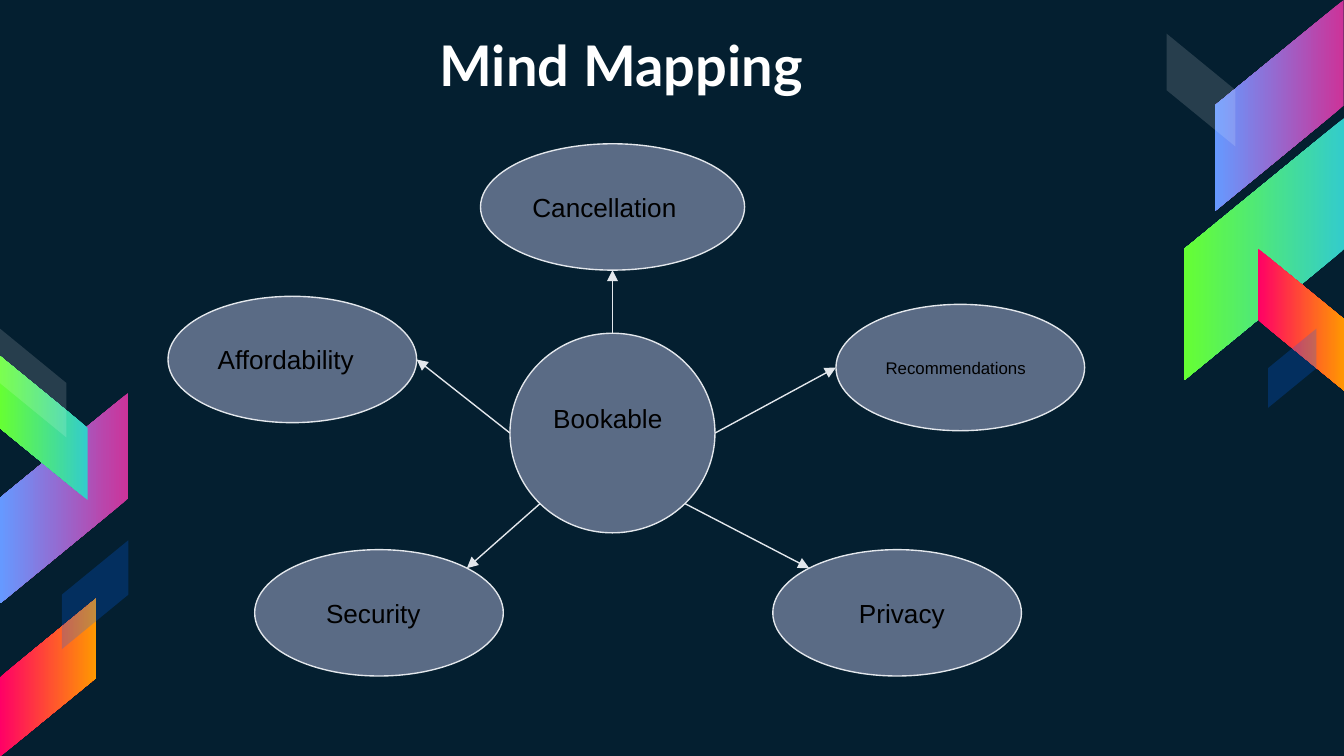
from math import cos, radians, sin

from lxml import etree
from pptx import Presentation
from pptx.dml.color import RGBColor
from pptx.enum.shapes import MSO_CONNECTOR, MSO_SHAPE
from pptx.enum.text import MSO_ANCHOR, PP_ALIGN
from pptx.oxml.ns import qn
from pptx.util import Inches, Pt

PARALLELOGRAM, ELLIPSE = MSO_SHAPE.PARALLELOGRAM, MSO_SHAPE.OVAL
STRAIGHT = MSO_CONNECTOR.STRAIGHT
LEFT = PP_ALIGN.LEFT
MIDDLE, BOTTOM = MSO_ANCHOR.MIDDLE, MSO_ANCHOR.BOTTOM

NAVY = RGBColor(0x04, 0x1F, 0x30)
SLATE = RGBColor(0x5A, 0x6B, 0x85)
PALE = RGBColor(0xE3, 0xE7, 0xEC)
BLACK = RGBColor(0x00, 0x00, 0x00)
WHITE = RGBColor(0xFF, 0xFF, 0xFF)
BLUE = RGBColor(0x00, 0x66, 0xFF)
VIOLET = (RGBColor(0xCC, 0x33, 0x99), RGBColor(0x66, 0x99, 0xFF))
GREEN = (RGBColor(0x33, 0xCC, 0xCC), RGBColor(0x66, 0xFF, 0x33))
FIRE = (RGBColor(0xFF, 0x00, 0x66), RGBColor(0xFF, 0x99, 0x00))

# The slide is a grid of 100 columns by 56.25 rows of square cells.
COLUMNS, ROWS = 100, 56.25
CELL = Inches(10) / COLUMNS
RIBBON_RATIO = 0.61  # width of a ribbon as a share of its height
RIBBON_SLANT = 0.819

# left, top, height, rotation, flipped, colours, opacity in percent
RIBBONS = [
    (90.4, 0, 15.7, 90, True, VIOLET, 100),
    (88.1, 8.8, 19.5, 90, True, GREEN, 100),
    (93.6, 18.5, 10.6, 270, False, FIRE, 100),
    (86.8, 2.5, 8.4, 270, False, WHITE, 14),
    (94.35, 24.45, 5.9, 270, True, BLUE, 23),
    (0, 29.2, 15.7, 90, True, VIOLET, 100),
    (0, 26.5, 10.7, 90, False, GREEN, 100),
    (0, 44.5, 11.8, 270, True, FIRE, 100),
    (0, 24.45, 8.1, 270, False, WHITE, 14),
    (4.6, 40.2, 8.1, 270, True, BLUE, 23),
]

HUB = (37.95, 24.8, 15.25, 14.85)
# text, box, text size, indent, clockwise angles where the arrow leaves and arrives
TOPICS = [
    ("Privacy", (57.5, 40.9, 18.5, 9.4), 14, 2.7, 45, 225),
    ("Affordability", (12.5, 22.05, 18.5, 9.4), 14, 0, 180, 0),
    ("Cancellation", (35.75, 10.7, 19.65, 9.4), 14, 0, 270, 90),
    ("Security", (18.95, 40.9, 18.5, 9.4), 14, 1.6, 135, 315),
    ("Recommendations", (62.2, 22.65, 18.5, 9.4), 9, 0, 0, 180),
]


def cells(*counts):
    return [round(count * CELL) for count in counts]


def write_text(shape, text, *, size, font="Arial", color=BLACK, bold=False,
               anchor=MIDDLE, indent=0, below=0):
    """Fill a shape with left-aligned text; indent and below widen its insets."""
    frame = shape.text_frame
    frame.word_wrap = True
    frame.vertical_anchor = anchor
    frame.margin_left, frame.margin_bottom = cells(1 + indent, 1 + below)
    frame.margin_right, frame.margin_top = cells(1, 1)
    para = frame.paragraphs[0]
    para.alignment = LEFT
    span = para.add_run()
    span.text = text
    span.font.name, span.font.size, span.font.bold = font, Pt(size), bold
    span.font.color.rgb = color


def paint(fill, colors, opacity):
    """Paint a pair of colours as a gradient, one colour as a translucent fill."""
    if isinstance(colors, RGBColor):
        fill.solid()
        fill.fore_color.rgb = colors
        return
    fill.gradient()
    fill.gradient_angle = 270
    for stop, color in zip(fill.gradient_stops, colors):
        stop.color.rgb = color


def add_ribbon(page, left, top, height, rotation, flipped, colors, opacity):
    """Add an upright slanted band; the preset lies flat, so it is turned."""
    width = height * RIBBON_RATIO
    shift = (height - width) / 2
    box = cells(left - shift, top + shift, height, width)
    ribbon = page.shapes.add_shape(PARALLELOGRAM, *box)
    ribbon.adjustments[0] = RIBBON_SLANT
    ribbon.rotation = rotation
    ribbon.shadow.inherit = False
    ribbon.line.fill.background()
    paint(ribbon.fill, colors, opacity)
    if flipped:
        ribbon.element.spPr.find(qn("a:xfrm")).set("flipH", "1")
    if opacity < 100:
        color = ribbon.element.spPr.find(qn("a:solidFill"))[0]
        etree.SubElement(color, qn("a:alpha")).set("val", str(opacity * 1000))


def add_bubble(page, text, box, **text_format):
    bubble = page.shapes.add_shape(ELLIPSE, *cells(*box))
    bubble.shadow.inherit = False
    bubble.fill.solid()
    bubble.fill.fore_color.rgb = SLATE
    bubble.line.color.rgb = PALE
    bubble.line.width = Pt(0.75)
    write_text(bubble, text, **text_format)


def rim_point(box, angle):
    """Return the point of an ellipse at a clockwise angle from its right end."""
    left, top, width, height = box
    turn = radians(angle)
    return cells(left + width / 2 * (1 + cos(turn)),
                 top + height / 2 * (1 + sin(turn)))


def add_arrow(page, start, end):
    arrow = page.shapes.add_connector(STRAIGHT, *start, *end)
    arrow.line.color.rgb = PALE
    arrow.line.width = Pt(0.75)
    line = arrow.line._get_or_add_ln()
    etree.SubElement(line, qn("a:tailEnd")).set("type", "triangle")
    etree.SubElement(arrow.element.spPr, qn("a:effectLst"))


def main():
    deck = Presentation()
    deck.slide_width, deck.slide_height = cells(COLUMNS, ROWS)
    page = deck.slides.add_slide(deck.slide_layouts[6])
    page.background.fill.solid()
    page.background.fill.fore_color.rgb = NAVY

    for ribbon in RIBBONS:
        add_ribbon(page, *ribbon)

    title = page.shapes.add_textbox(*cells(24.4, 2.1, 51.1, 6.2))
    write_text(title, "Mind Mapping", size=30, font="Lato", color=WHITE,
               bold=True, anchor=BOTTOM, indent=7.3)

    add_bubble(page, "Bookable", HUB, size=14, below=2.2)
    for text, box, size, indent, _, _ in TOPICS:
        add_bubble(page, text, box, size=size, indent=indent)
    for _, box, _, _, leave, arrive in TOPICS:
        add_arrow(page, rim_point(HUB, leave), rim_point(box, arrive))

    deck.save("out.pptx")


if __name__ == "__main__":
    main()
